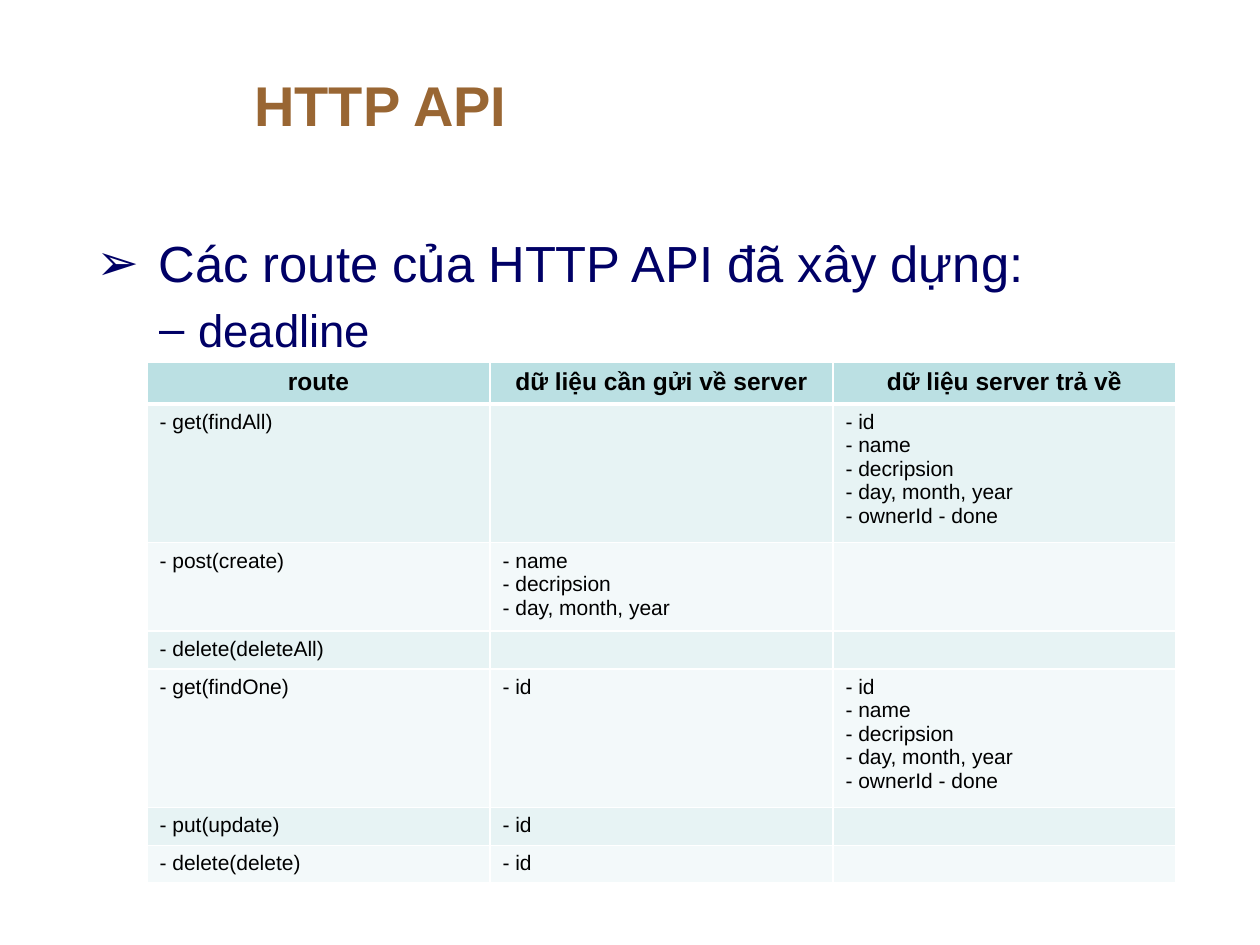
from dataclasses import dataclass

import lxml.etree
import pptx
import pptx.dml.color
import pptx.enum.text
import pptx.oxml.ns
import pptx.util

EMU_PER_PIXEL = 914400 // 126


@dataclass(frozen=True)
class Theme:
    """Colours, font and type sizes of the slide."""
    font: str = "Arial"
    title: str = "996633"
    body: str = "000066"
    table_text: str = "000000"
    header_fill: str = "BBE0E3"
    band_fills: tuple[str, str] = ("E7F3F4", "F3F9FA")
    border: str = "FFFFFF"
    title_size: int = 32
    bullet_size: int = 29
    sub_bullet_size: int = 26
    header_size: int = 14
    cell_size: int = 12


@dataclass(frozen=True)
class Bullet:
    """One bulleted line; indents are in pixels."""
    text: str
    mark: str
    size: int
    left: int
    hanging: int
    level: int
    space_before: int


@dataclass(frozen=True)
class Route:
    """One table row: its height in pixels and the lines of each cell."""
    height: int
    name: str
    sent: tuple[str, ...] = ()
    returned: tuple[str, ...] = ()


THEME = Theme()
RECORD = ("- id", "- name", "- decripsion", "- day, month, year", "- ownerId - done")
HEADINGS = ("route", "dữ liệu cần gửi về server", "dữ liệu server trả về")
HEADER_HEIGHT = 39
COLUMN_WIDTH = 343
ROUTES = (
    Route(130, "- get(findAll)", returned=RECORD),
    Route(83, "- post(create)", sent=RECORD[1:4]),
    Route(36, "- delete(deleteAll)"),
    Route(130, "- get(findOne)", sent=RECORD[:1], returned=RECORD),
    Route(36, "- put(update)", sent=RECORD[:1]),
    Route(36, "- delete(delete)", sent=RECORD[:1]),
)
BULLETS = (
    Bullet(" Các route của HTTP API đã xây dựng:", "➢", THEME.bullet_size, 48, 48, 0, 6),
    Bullet("deadline", "–", THEME.sub_bullet_size, 102, 39, 1, 5),
)


def pixels(count: int) -> pptx.util.Emu:
    """Turn picture pixels into EMU."""
    return pptx.util.Emu(count * EMU_PER_PIXEL)


def add_element(parent, tag: str, **attributes: str):
    """Append a DrawingML element to a parent."""
    return lxml.etree.SubElement(parent, pptx.oxml.ns.qn(tag), attributes)


def write_run(paragraph, text: str, *, size: int, color: str, bold: bool = False) -> None:
    """Write one formatted run."""
    run = paragraph.add_run()
    run.text = text
    run.font.name = THEME.font
    run.font.size = pptx.util.Pt(size)
    run.font.bold = bold
    run.font.color.rgb = pptx.dml.color.RGBColor.from_string(color)


def add_text_frame(slide, left: int, top: int, width: int, height: int):
    """Add a wrapping text box and return its frame."""
    shape = slide.shapes.add_textbox(*map(pixels, (left, top, width, height)))
    shape.text_frame.word_wrap = True
    return shape.text_frame


def get_paragraph(text_frame, index: int):
    """Return the first paragraph, or add a further one."""
    return text_frame.add_paragraph() if index else text_frame.paragraphs[0]


def write_bullet(paragraph, bullet: Bullet) -> None:
    """Write a bulleted line with a hanging indent."""
    paragraph.level = bullet.level
    paragraph.space_before = pptx.util.Pt(bullet.space_before)
    properties = paragraph._p.get_or_add_pPr()
    properties.set("marL", str(pixels(bullet.left)))
    properties.set("indent", str(-pixels(bullet.hanging)))
    add_element(properties, "a:buFont", typeface=THEME.font)
    add_element(properties, "a:buChar", char=bullet.mark)
    write_run(paragraph, bullet.text, size=bullet.size, color=THEME.body)


def set_borders(cell, bottom_width: int) -> None:
    """Draw the cell's four borders."""
    properties = cell._tc.get_or_add_tcPr()
    widths = {"a:lnL": 1, "a:lnR": 1, "a:lnT": 1, "a:lnB": bottom_width}
    for position, (tag, width) in enumerate(widths.items()):
        line = add_element(properties, tag, w=str(pptx.util.Pt(width)))
        fill = add_element(line, "a:solidFill")
        add_element(fill, "a:srgbClr", val=THEME.border)
        properties.insert(position, line)


def write_cell(cell, lines: tuple[str, ...], fill: str, header: bool = False) -> None:
    """Fill and border a cell and write its lines."""
    cell.fill.solid()
    cell.fill.fore_color.rgb = pptx.dml.color.RGBColor.from_string(fill)
    set_borders(cell, 3 if header else 1)
    size = THEME.header_size if header else THEME.cell_size
    for index, text in enumerate(lines):
        paragraph = get_paragraph(cell.text_frame, index)
        if header:
            paragraph.alignment = pptx.enum.text.PP_ALIGN.CENTER
        write_run(paragraph, text, size=size, color=THEME.table_text, bold=header)
    if not lines:
        add_element(cell.text_frame.paragraphs[0]._p, "a:endParaRPr", sz=str(size * 100))


def add_route_table(slide, left: int, top: int) -> None:
    """Add the table of routes."""
    heights = [HEADER_HEIGHT] + [route.height for route in ROUTES]
    size = (COLUMN_WIDTH * len(HEADINGS), sum(heights))
    table = slide.shapes.add_table(
        len(heights), len(HEADINGS), *map(pixels, (left, top, *size))).table
    for column in table.columns:
        column.width = pixels(COLUMN_WIDTH)
    for row, height in zip(table.rows, heights):
        row.height = pixels(height)
    for column, heading in enumerate(HEADINGS):
        write_cell(table.cell(0, column), (heading,), THEME.header_fill, header=True)
    for index, route in enumerate(ROUTES):
        for column, lines in enumerate(((route.name,), route.sent, route.returned)):
            write_cell(table.cell(index + 1, column), lines, THEME.band_fills[index % 2])


def build() -> None:
    """Build and save the slide."""
    presentation = pptx.Presentation()
    presentation.slide_width = pptx.util.Inches(10)
    presentation.slide_height = pptx.util.Inches(7.5)
    slide = presentation.slides.add_slide(presentation.slide_layouts[6])
    title = add_text_frame(slide, 242, 39, 976, 130)
    title.vertical_anchor = pptx.enum.text.MSO_ANCHOR.MIDDLE
    write_run(title.paragraphs[0], "HTTP API",
              size=THEME.title_size, color=THEME.title, bold=True)
    body = add_text_frame(slide, 84, 226, 1134, 646)
    for index, bullet in enumerate(BULLETS):
        write_bullet(get_paragraph(body, index), bullet)
    add_route_table(slide, 147, 362)
    presentation.save("out.pptx")


build()
